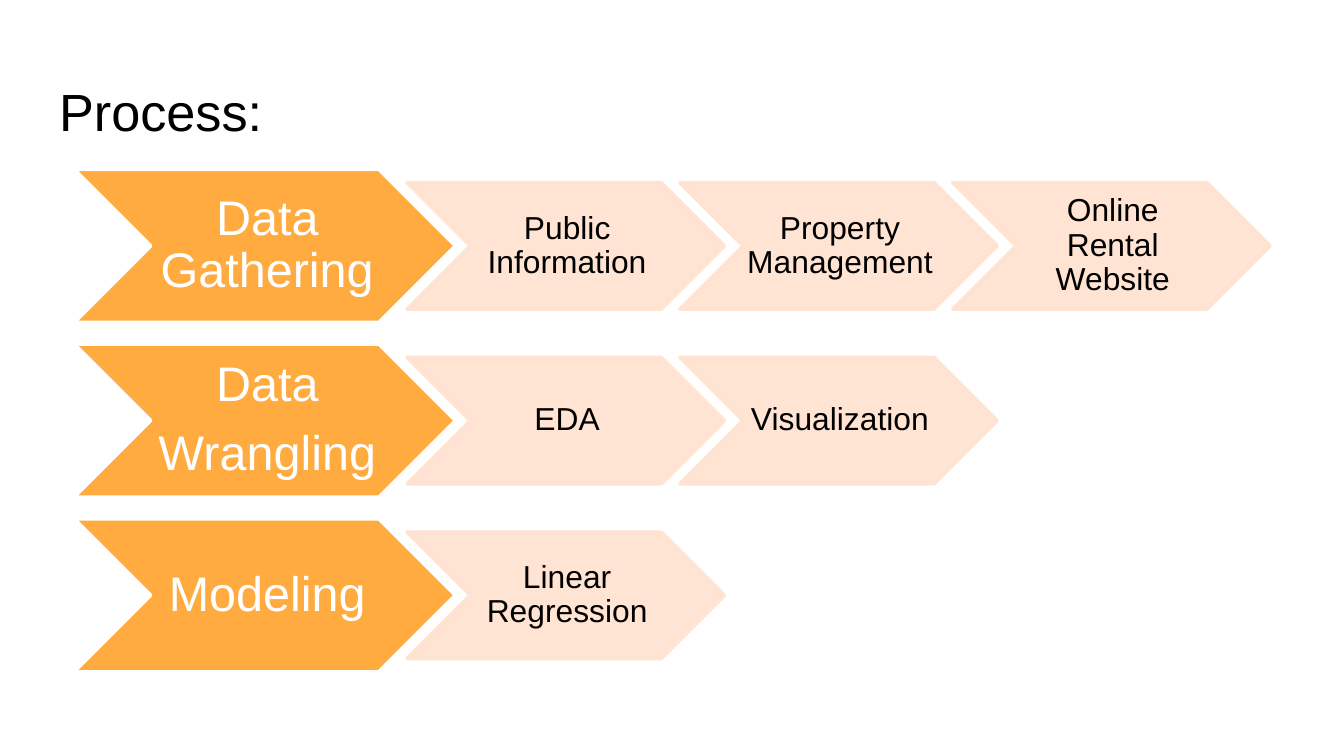
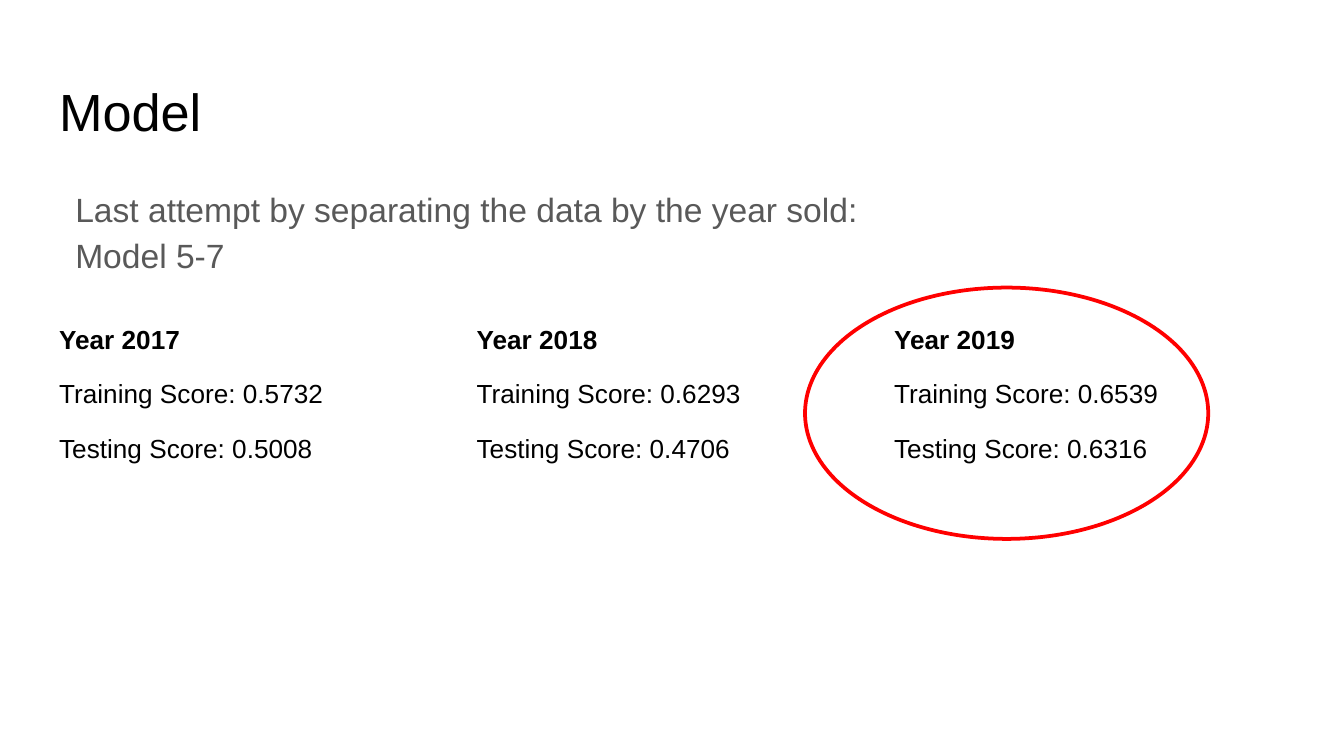
from lxml import etree
from pptx import Presentation
from pptx.dml.color import RGBColor
from pptx.enum import shapes, text
from pptx.oxml import ns
from pptx.util import Inches, Pt

# Content: each paragraph of a stage heading is one list entry
STAGES = [
    (["Data Gathering"], ["Public Information", "Property Management", "Online Rental Website"]),
    (["Data", "Wrangling"], ["EDA", "Visualization"]),
    (["Modeling"], ["Linear Regression"]),
]
MODEL_INTRO = ["Last attempt by separating the data by the year sold:", "Model 5-7"]
SCORES = [
    ("Year 2017", "Year 2018", "Year 2019"),
    ("Training Score: 0.5732", "Training Score: 0.6293", "Training Score: 0.6539"),
    ("Testing Score: 0.5008", "Testing Score: 0.4706", "Testing Score: 0.6316"),
]

# Shared style
FONT = "Arial"
BLACK = RGBColor(0x00, 0x00, 0x00)
WHITE = RGBColor(0xFF, 0xFF, 0xFF)
GRAY = RGBColor(0x59, 0x59, 0x59)
ORANGE = RGBColor(0xFF, 0xAB, 0x40)
PEACH = RGBColor(0xFF, 0xE2, 0xCF)
RED = RGBColor(0xFF, 0x00, 0x00)
SLIDE_WIDTH = 10
SLIDE_HEIGHT = SLIDE_WIDTH * 9 / 16
LEFT, CONTENT_TOP, CONTENT_WIDTH = 0.34, 1.26, 9.32

# Process grid
STAGE_LEFT, STAGE_SIZE, STAGE_PITCH = 0.55, (2.84, 1.14), 1.3
STEP_LEFT, STEP_SIZE, STEP_PITCH = 3.03, (2.36, 0.94), 2.03


def set_font(paragraph, size, color, bold=False):
    font = paragraph.font
    font.name, font.size, font.bold = FONT, Pt(size), bold
    font.color.rgb = color


def set_insets(frame, left, top, right, bottom):
    frame.margin_left, frame.margin_top = Inches(left), Inches(top)
    frame.margin_right, frame.margin_bottom = Inches(right), Inches(bottom)


def fill_placeholder(holder, lines, top, height):
    holder.left, holder.top = Inches(LEFT), Inches(top)
    holder.width, holder.height = Inches(CONTENT_WIDTH), Inches(height)
    frame = holder.text_frame
    frame.text = "\n".join(lines)
    frame.auto_size = text.MSO_AUTO_SIZE.NONE
    frame.vertical_anchor = text.MSO_ANCHOR.TOP
    set_insets(frame, 0.1, 0.1, 0.1, 0.1)
    for paragraph in frame.paragraphs:
        paragraph.alignment = text.PP_ALIGN.LEFT
        paragraph.space_before = Pt(0)
    return frame.paragraphs


def add_slide(prs, layout, title):
    slide = prs.slides.add_slide(prs.slide_layouts[layout])
    for paragraph in fill_placeholder(slide.shapes.title, [title], 0.49, 0.63):
        set_font(paragraph, 28, BLACK)
    return slide


def add_chevron(slide, lines, left, top, size, fill, line, font_size, color, inset, opacity=100):
    width, height = size
    chevron = slide.shapes.add_shape(
        shapes.MSO_SHAPE.CHEVRON, Inches(left), Inches(top), Inches(width), Inches(height))
    chevron.shadow.inherit = False
    chevron.fill.solid()
    chevron.fill.fore_color.rgb = fill
    chevron.line.color.rgb = line
    chevron.line.width = Pt(2)
    if opacity < 100:
        for rgb in chevron.element.spPr.iter(ns.qn("a:srgbClr")):
            etree.SubElement(rgb, ns.qn("a:alpha"), val=str(opacity * 1000))

    # The label sits between the notch and the point
    label = slide.shapes.add_textbox(
        Inches(left + height / 2), Inches(top), Inches(width - height), Inches(height))
    frame = label.text_frame
    frame.text = "\n".join(lines)
    frame.word_wrap = True
    frame.vertical_anchor = text.MSO_ANCHOR.MIDDLE
    set_insets(frame, 2 * inset, inset, 0, inset)
    for paragraph in frame.paragraphs:
        paragraph.alignment = text.PP_ALIGN.CENTER
        paragraph.line_spacing = 0.9
        paragraph.space_after = Pt(round(font_size * 0.35))
        set_font(paragraph, font_size, color)


def set_borders(cell, bottom_width):
    props = cell._tc.get_or_add_tcPr()
    for index, side in enumerate(("lnL", "lnR", "lnT", "lnB")):
        width = bottom_width if side == "lnB" else 1
        border = etree.Element(ns.qn("a:" + side), w=str(Pt(width)))
        solid = etree.SubElement(border, ns.qn("a:solidFill"))
        etree.SubElement(solid, ns.qn("a:srgbClr"), val=str(WHITE))
        props.insert(index, border)


def build_process(prs):
    slide = add_slide(prs, 5, "Process:")
    step_drop = (STAGE_SIZE[1] - STEP_SIZE[1]) / 2
    for row, (stage, steps) in enumerate(STAGES):
        top = CONTENT_TOP + row * STAGE_PITCH
        add_chevron(slide, stage, STAGE_LEFT, top, STAGE_SIZE, ORANGE, WHITE, 26, WHITE, 0.02)
        for column, step in enumerate(steps):
            add_chevron(slide, [step], STEP_LEFT + column * STEP_PITCH, top + step_drop,
                        STEP_SIZE, PEACH, PEACH, 17, BLACK, 0.01, opacity=90)


def build_model(prs):
    slide = add_slide(prs, 1, "Model")

    # Introduction
    for paragraph in fill_placeholder(slide.placeholders[1], MODEL_INTRO, CONTENT_TOP, 3.74):
        props = paragraph._p.get_or_add_pPr()
        props.set("marL", str(Inches(0.12)))
        props.set("indent", "0")
        etree.SubElement(props, ns.qn("a:buNone"))
        paragraph.line_spacing = 1.15
        set_font(paragraph, 18, GRAY)

    # Scores by year
    table = slide.shapes.add_table(
        len(SCORES), len(SCORES[0]), Inches(LEFT), Inches(2.37),
        Inches(CONTENT_WIDTH), Inches(1.22)).table
    table.first_row = table.horz_banding = False
    for row, values in enumerate(SCORES):
        for column, value in enumerate(values):
            cell = table.cell(row, column)
            cell.text = value
            cell.fill.background()
            set_borders(cell, 3 if row == 0 else 1)
            set_font(cell.text_frame.paragraphs[0], 14, BLACK, bold=row == 0)

    # Ring around the best year
    ring = slide.shapes.add_shape(
        shapes.MSO_SHAPE.OVAL, Inches(5.99), Inches(2.14), Inches(3), Inches(1.87))
    ring.shadow.inherit = False
    ring.fill.background()
    ring.line.color.rgb = RED
    ring.line.width = Pt(2)


def main():
    prs = Presentation()
    prs.slide_width, prs.slide_height = Inches(SLIDE_WIDTH), Inches(SLIDE_HEIGHT)
    build_process(prs)
    build_model(prs)
    prs.save("out.pptx")


if __name__ == "__main__":
    main()
